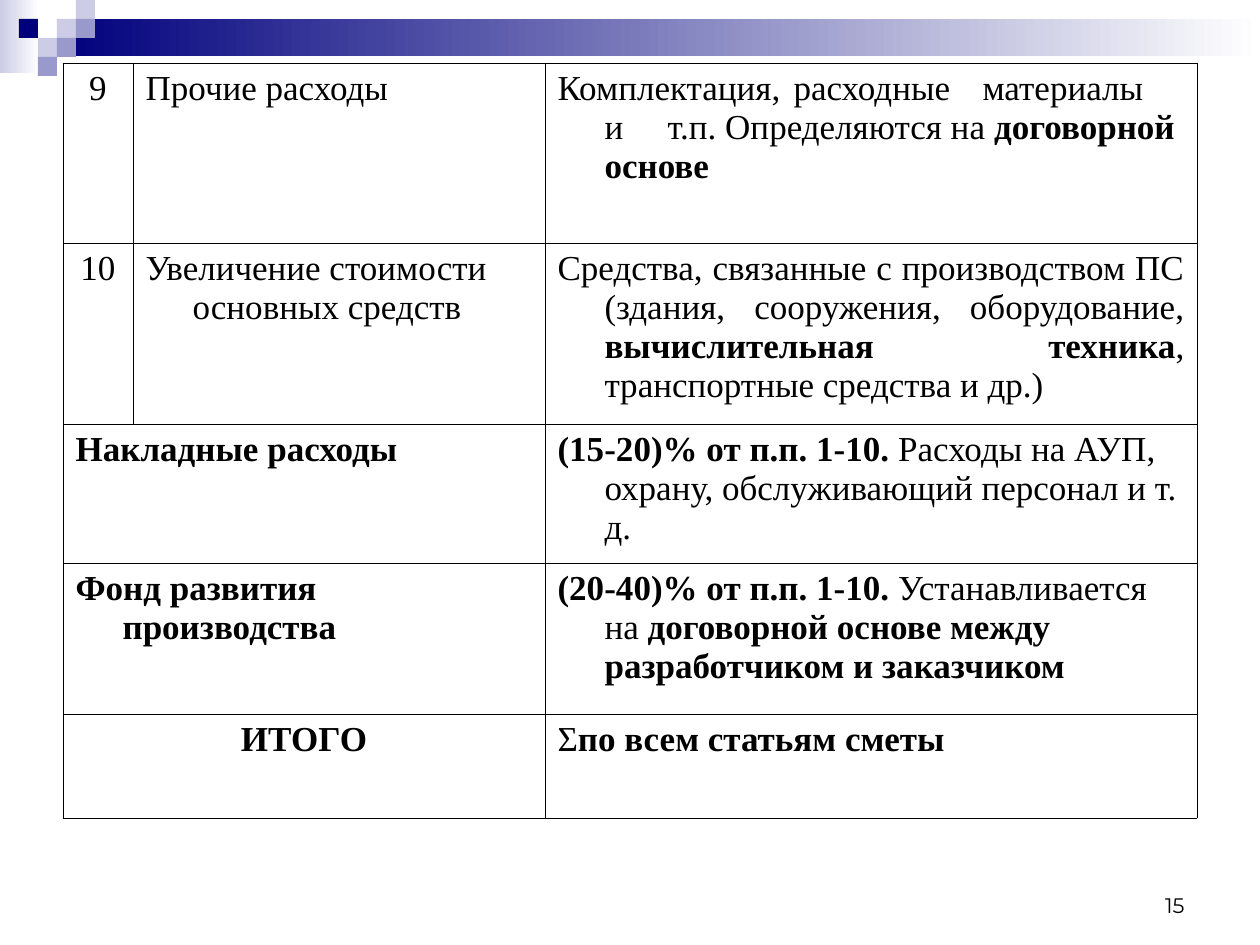
from lxml.etree import SubElement
from pptx import Presentation
from pptx.dml.color import RGBColor
from pptx.enum.shapes import MSO_SHAPE
from pptx.enum.text import MSO_ANCHOR, PP_ALIGN
from pptx.oxml import parse_xml
from pptx.oxml.ns import nsdecls, qn
from pptx.util import Pt

EMU_PER_PX = 914400 / 126
NAVY = RGBColor(0x00, 0x00, 0x7D)
VIOLET = RGBColor(0x99, 0x99, 0xCC)
LILAC = RGBColor(0xCC, 0xCC, 0xE6)
WHITE = RGBColor(0xFF, 0xFF, 0xFF)
BLACK = RGBColor(0x00, 0x00, 0x00)
SERIF = "Times New Roman"
SANS = "Montserrat"

COLS = [70, 412, 652]
ROW_HEIGHTS = [180, 181, 139, 151, 104]
CENTER, LEFT, JUSTIFY = PP_ALIGN.CENTER, PP_ALIGN.LEFT, PP_ALIGN.JUSTIFY

# Each cell: column, alignment, (text, bold) runs
ROWS = [
    [(0, CENTER, [("9", False)]),
     (1, LEFT, [("Прочие расходы", False)]),
     (2, LEFT, [("Комплектация,\tрасходные\tматериалы\tи\tт.п. Определяются на ", False),
                ("договорной основе", True)])],
    [(0, CENTER, [("10", False)]),
     (1, LEFT, [("Увеличение стоимости основных средств", False)]),
     (2, JUSTIFY, [("Средства, связанные с производством ПС (здания, сооружения, оборудование, ", False),
                   ("вычислительная техника", True),
                   (", транспортные средства и др.)", False)])],
    [(0, LEFT, [("Накладные расходы", True)]),
     (2, LEFT, [("(15-20)% от п.п. 1-10. ", True),
                ("Расходы на АУП, охрану, обслуживающий персонал и т. д.", False)])],
    [(0, LEFT, [("Фонд развития производства", True)]),
     (2, LEFT, [("(20-40)% от п.п. 1-10. ", True),
                ("Устанавливается на ", False),
                ("договорной основе между разработчиком и заказчиком", True)])],
    [(0, CENTER, [("ИТОГО", True)]),
     (2, LEFT, [("Σ", False), ("по всем статьям сметы", True)])],
]


def px(n):
    return round(n * EMU_PER_PX)


def add_text(tf, runs, font=SERIF, size=20, align=LEFT, hanging=0):
    p = tf.paragraphs[0]
    p.alignment = align
    if hanging:
        pPr = p._p.get_or_add_pPr()
        pPr.set("marL", str(px(hanging)))
        pPr.set("indent", str(-px(hanging)))
    for text, bold in runs:
        r = p.add_run()
        r.text = text
        r.font.name = font
        r.font.size = Pt(size)
        r.font.bold = bold
        r.font.color.rgb = BLACK


def add_rect(s, x, y, w, h, color, fade=False):
    sp = s.shapes.add_shape(MSO_SHAPE.RECTANGLE, px(x), px(y), px(w), px(h))
    sp.shadow.inherit = False
    sp.line.fill.background()
    if fade:
        sp.fill.gradient()
        sp.fill.gradient_angle = 0
        for stop, rgb in zip(sp.fill.gradient_stops, (color, WHITE)):
            stop.color.rgb = rgb
    else:
        sp.fill.solid()
        sp.fill.fore_color.rgb = color


def add_header(s, x, y, w):
    add_rect(s, x, y, 39, 73, LILAC, fade=True)
    add_rect(s, x + 57, y + 19, w - 57, 37, NAVY, fade=True)
    squares = [(3, 1, LILAC), (4, 0, LILAC), (4, 1, VIOLET), (2, 2, LILAC),
               (1, 1, NAVY), (3, 2, VIOLET), (2, 3, VIOLET)]
    for col, row, color in squares:
        add_rect(s, x + 19 * col, y + 19 * row, 19, 19, color)


def add_borders(cell, width=0.45):
    tcPr = cell._tc.get_or_add_tcPr()
    for i, side in enumerate(("lnL", "lnR", "lnT", "lnB")):
        ln = parse_xml(f'<a:{side} {nsdecls("a")} w="{Pt(width)}"/>')
        fill = SubElement(ln, qn("a:solidFill"))
        SubElement(fill, qn("a:srgbClr")).set("val", str(BLACK))
        tcPr.insert(i, ln)


def add_cost_table(s, x, y):
    table = s.shapes.add_table(len(ROWS), len(COLS), px(x), px(y),
                               px(sum(COLS)), px(sum(ROW_HEIGHTS))).table
    table.first_row = table.horz_banding = False
    for column, width in zip(table.columns, COLS):
        column.width = px(width)
    for row, height in zip(table.rows, ROW_HEIGHTS):
        row.height = px(height)
    for cell in table.iter_cells():
        cell.fill.background()
        add_borders(cell)
    for i, row in enumerate(ROWS):
        if len(row) < len(COLS):
            table.cell(i, 0).merge(table.cell(i, 1))
        for j, align, runs in row:
            add_text(table.cell(i, j).text_frame, runs, align=align, hanging=47)


def add_slide_number(s, x, y, w, h, number):
    tf = s.shapes.add_textbox(px(x), px(y), px(w), px(h)).text_frame
    tf.word_wrap = True
    tf.vertical_anchor = MSO_ANCHOR.BOTTOM
    add_text(tf, [(number, False)], font=SANS, size=12, align=PP_ALIGN.RIGHT)


def main():
    prs = Presentation()
    prs.slide_width, prs.slide_height = px(1260), px(945)
    s = prs.slides.add_slide(prs.slide_layouts[6])
    add_header(s, 0, 0, 1260)
    add_cost_table(s, 63, 63)
    add_slide_number(s, 903, 861, 294, 63, "15")
    prs.save("out.pptx")


if __name__ == "__main__":
    main()
